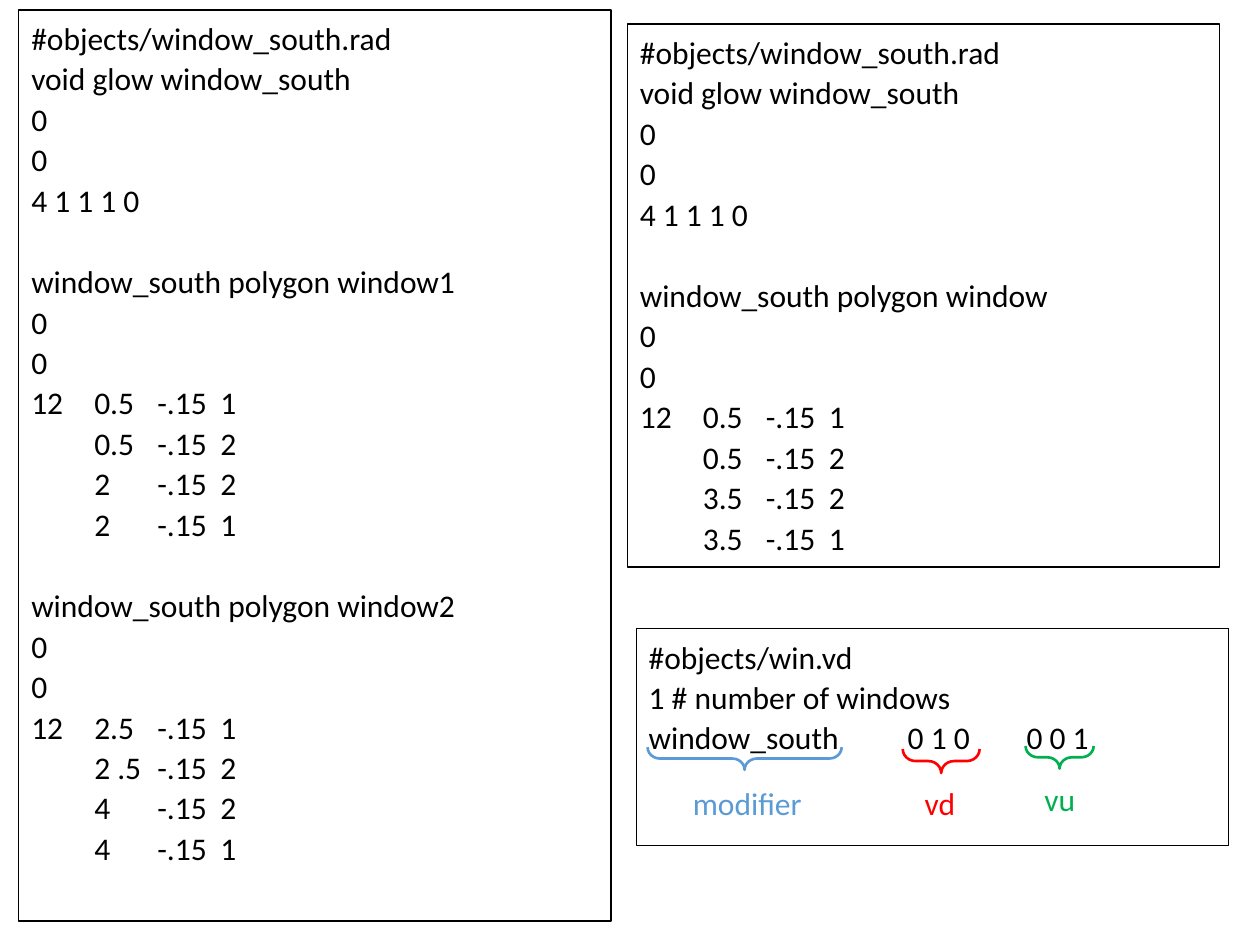
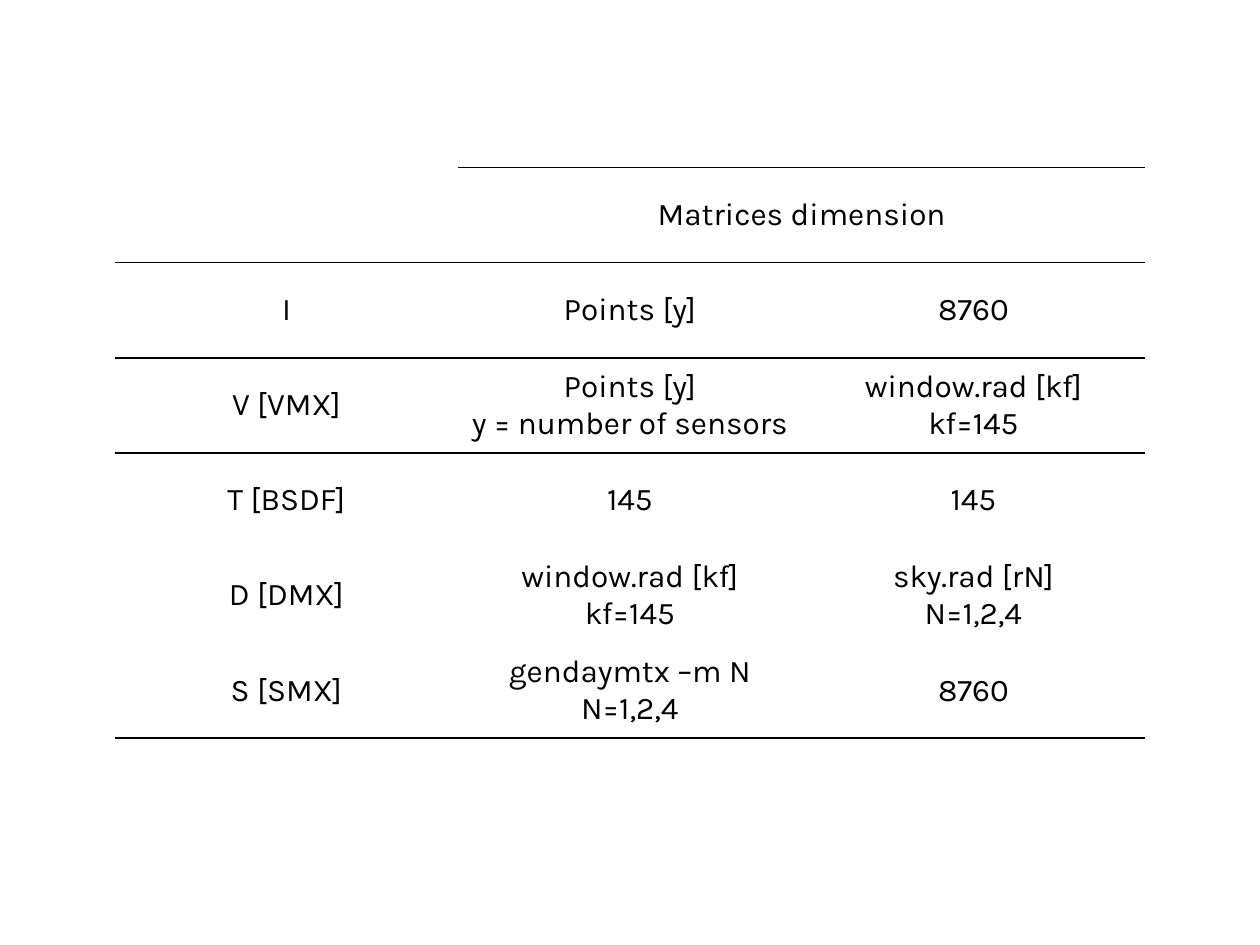
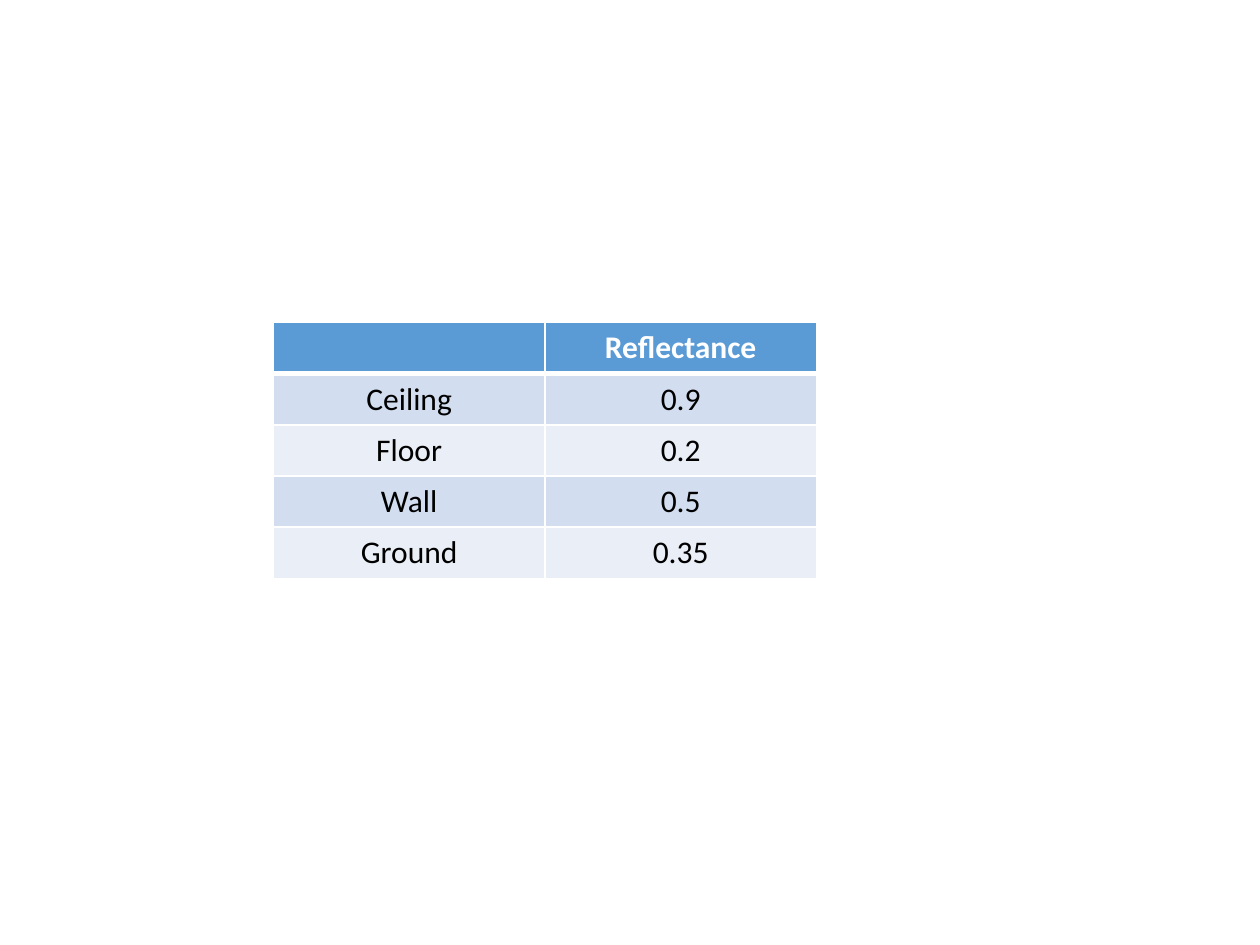
from lxml import etree
from pptx import Presentation
from pptx.dml.color import RGBColor
from pptx.enum.shapes import MSO_SHAPE as Shape
from pptx.enum.text import MSO_ANCHOR as Anchor, PP_ALIGN as Align
from pptx.oxml.ns import qn
from pptx.util import Inches, Pt

COLOURS = {"ink": "000000", "paper": "FFFFFF", "blue": "5B9BD5", "red": "FF0000",
           "green": "00B050", "band": "D2DEEF", "pale": "EAEFF7"}
BODY_FONT, TABLE_FONT = "Calibri", "Karla"
SIZE = 18
LINE_SPACING = 1.07
BLANK_LINE = 23.5  # points, one line of body text

# Slide 1: scene files. Each polygon is (name, x of its four vertices).
GLOW = ["#objects/window_south.rad", "void glow window_south", "0", "0", "4 1 1 1 0"]
SCENES = [
    ((0.15, 0.08, 4.7, 7.23), [("window1", ("0.5", "0.5", "2", "2")),
                               ("window2", ("2.5", "2 .5", "4", "4"))]),
    ((4.98, 0.19, 4.7, 4.31), [("window", ("0.5", "0.5", "3.5", "3.5"))]),
]
VERTEX_INDENT = 0.5
VERTEX_STOPS = (0.5, 1, 1.5)
VIEW_BOX = (5.05, 4.99, 4.7, 1.72)
VIEW_LINES = [("#objects/win.vd", ()), ("1 # number of windows", ()),
              ("window_south \t 0 1 0 \t0 0 1", (2, 3))]
# label, colour, brace centre x and y, brace span and depth, label box
BRACES = [
    ("vd", "red", (7.47, 6.04), (0.61, 0.19), (7.24, 6.17, 0.45, 0.4)),
    ("vu", "green", (8.41, 6.01), (0.54, 0.18), (8.19, 6.14, 0.45, 0.4)),
    ("modifier", "blue", (5.91, 6.02), (1.54, 0.18), (5.4, 6.17, 1.08, 0.43)),
]

# Slides 2 and 3: tables
MATRICES = [
    ("", "Matrices dimension", ""),
    ("I", "Points [y]", "8760"),
    ("V [VMX]", "Points [y]\ny = number of sensors", "window.rad [kf]\nkf=145"),
    ("T [BSDF]", "145", "145"),
    ("D [DMX]", "window.rad [kf]\nkf=145", "sky.rad [rN]\nN=1,2,4"),
    ("S [SMX]", "gendaymtx –m N\nN=1,2,4", "8760"),
]
RULED_BELOW = {0, 1, 2, 5}
REFLECTANCES = [("", "Reflectance"), ("Ceiling", "0.9"), ("Floor", "0.2"),
                ("Wall", "0.5"), ("Ground", "0.35")]


def rgb(name):
    """Return the named colour."""
    return RGBColor.from_string(COLOURS[name])


def style(para, colour="ink", font=BODY_FONT, bold=False):
    """Set the font of a whole paragraph."""
    para.font.name, para.font.size, para.font.bold = font, Pt(SIZE), bold
    para.font.color.rgb = rgb(colour)


def add_stops(para, stops, indent):
    """Give a styled paragraph left tab stops and a first-line indent, in inches."""
    props = para._p.get_or_add_pPr()
    props.set("marL", "0")
    props.set("indent", str(Inches(indent)))
    tabs = etree.Element(qn("a:tabLst"))
    for stop in stops:
        etree.SubElement(tabs, qn("a:tab"), pos=str(Inches(stop)), algn="l")
    props.find(qn("a:defRPr")).addprevious(tabs)


def add_code(slide, place, lines):
    """Add a framed box of (text, stops, indent, gap before) lines."""
    box = slide.shapes.add_shape(Shape.RECTANGLE, *map(Inches, place))
    box.shadow.inherit = False
    box.fill.solid()
    box.fill.fore_color.rgb = rgb("paper")
    box.line.color.rgb = rgb("ink")
    box.line.width = Pt(0.75)
    frame = box.text_frame
    frame.word_wrap, frame.vertical_anchor = True, Anchor.TOP
    for number, (text, stops, indent, gap) in enumerate(lines):
        para = frame.add_paragraph() if number else frame.paragraphs[0]
        para.text = text
        para.alignment = Align.LEFT
        para.line_spacing = LINE_SPACING
        if gap:
            para.space_before = Pt(BLANK_LINE)
        style(para)
        if stops:
            add_stops(para, stops, indent)


def polygon_lines(name, corners):
    """Describe a window polygon by its four vertices."""
    lines = [(f"window_south polygon {name}", (), 0, True),
             ("0", (), 0, False), ("0", (), 0, False)]
    for number, (x, z) in enumerate(zip(corners, "1221")):
        text = f"{x}\t-.15\t{z}"
        if number:
            lines.append((text, VERTEX_STOPS, VERTEX_INDENT, False))
        else:
            lines.append((f"12\t{text}", VERTEX_STOPS, 0, False))
    return lines


def add_brace(slide, label, colour, centre, size, label_place):
    """Add a brace that opens upwards, with its label below."""
    (x, y), (span, depth) = centre, size
    brace = slide.shapes.add_shape(Shape.LEFT_BRACE, Inches(x - depth / 2),
                                   Inches(y - span / 2), Inches(depth), Inches(span))
    brace.rotation = 270
    brace.adjustments[0] = 0.54
    brace.shadow.inherit = False
    brace.fill.background()
    brace.line.color.rgb = rgb(colour)
    brace.line.width = Pt(1.5)
    box = slide.shapes.add_textbox(*map(Inches, label_place))
    box.text_frame.word_wrap = False
    para = box.text_frame.paragraphs[0]
    para.text = label
    style(para, colour)


def set_borders(cell, edges):
    """Draw the given {side: (colour, points)} edges and clear the others."""
    props = cell._tc.get_or_add_tcPr()
    for position, side in enumerate("LRTB"):
        line = etree.Element(qn(f"a:ln{side}"))
        if side in edges:
            colour, width = edges[side]
            line.set("w", str(Pt(width)))
            fill = etree.SubElement(line, qn("a:solidFill"))
            etree.SubElement(fill, qn("a:srgbClr"), val=COLOURS[colour])
        else:
            etree.SubElement(line, qn("a:noFill"))
        props.insert(position, line)


def add_grid(slide, place, rows):
    """Add a plain table with equal rows and columns."""
    table = slide.shapes.add_table(len(rows), len(rows[0]), *map(Inches, place)).table
    table.horz_banding = table.first_row = False
    return table


def fill_cell(cell, text, fill, **font):
    """Write centred text on a plain fill."""
    cell.fill.solid()
    cell.fill.fore_color.rgb = rgb(fill)
    cell.vertical_anchor = Anchor.MIDDLE
    cell.text = text
    for para in cell.text_frame.paragraphs:
        para.alignment = Align.CENTER
        style(para, **font)


def build_scenes(slide):
    """Show the scene files and the view file with its braces."""
    for place, polygons in SCENES:
        lines = [(text, (), 0, False) for text in GLOW]
        for polygon in polygons:
            lines += polygon_lines(*polygon)
        add_code(slide, place, lines)
    add_code(slide, VIEW_BOX, [(text, stops, 0, False) for text, stops in VIEW_LINES])
    for brace in BRACES:
        add_brace(slide, *brace)


def build_matrices(slide):
    """Show the ruled table of matrix dimensions."""
    table = add_grid(slide, (0.91, 1.33, 8.18, 4.53), MATRICES)
    rule = ("ink", 1)
    for r, row in enumerate(MATRICES):
        for c, text in enumerate(row):
            cell = table.cell(r, c)
            fill_cell(cell, text, "paper", font=TABLE_FONT)
            edges = {"B": rule} if r in RULED_BELOW else {}
            if r - 1 in RULED_BELOW or (r == 0 and c > 0):
                edges["T"] = rule
            set_borders(cell, edges)
    table.cell(0, 1).merge(table.cell(0, 2))


def build_reflectances(slide):
    """Show the banded table of reflectances."""
    table = add_grid(slide, (2.17, 2.56, 4.31, 2.03), REFLECTANCES)
    table.first_row = True
    for r, row in enumerate(REFLECTANCES):
        head = r == 0
        fill = "blue" if head else ("pale", "band")[r % 2]
        for c, text in enumerate(row):
            cell = table.cell(r, c)
            fill_cell(cell, text, fill, colour="paper" if head else "ink", bold=head)
            edges = {side: ("paper", 1) for side in "LRTB"}
            if head:
                edges["B"] = ("paper", 3)
            elif r == 1:
                edges["T"] = ("paper", 3)
            set_borders(cell, edges)


deck = Presentation()
deck.slide_width, deck.slide_height = Inches(10), Inches(7.5)
for build in (build_scenes, build_matrices, build_reflectances):
    page = deck.slides.add_slide(deck.slide_layouts[6])
    build(page)
deck.save("out.pptx")
